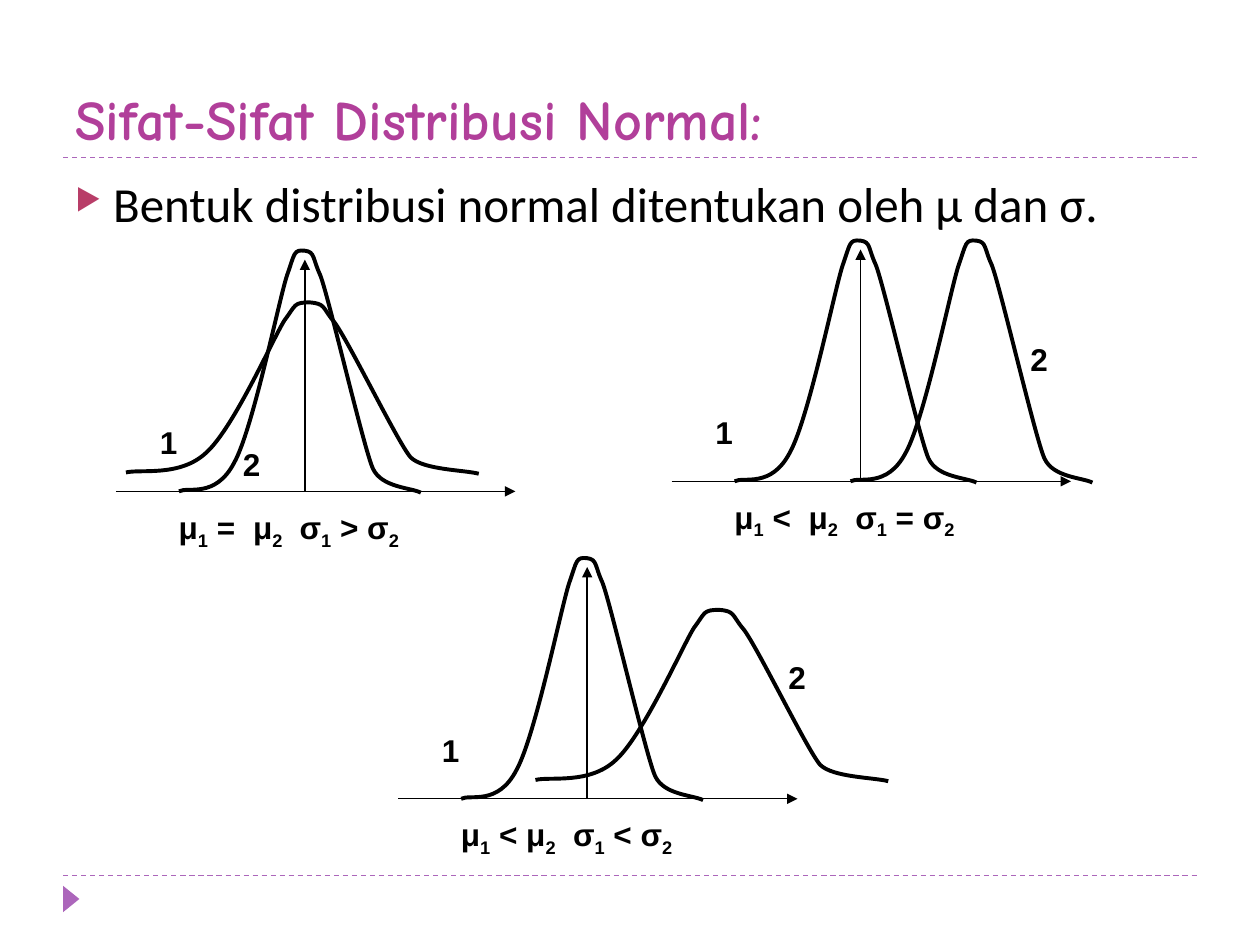
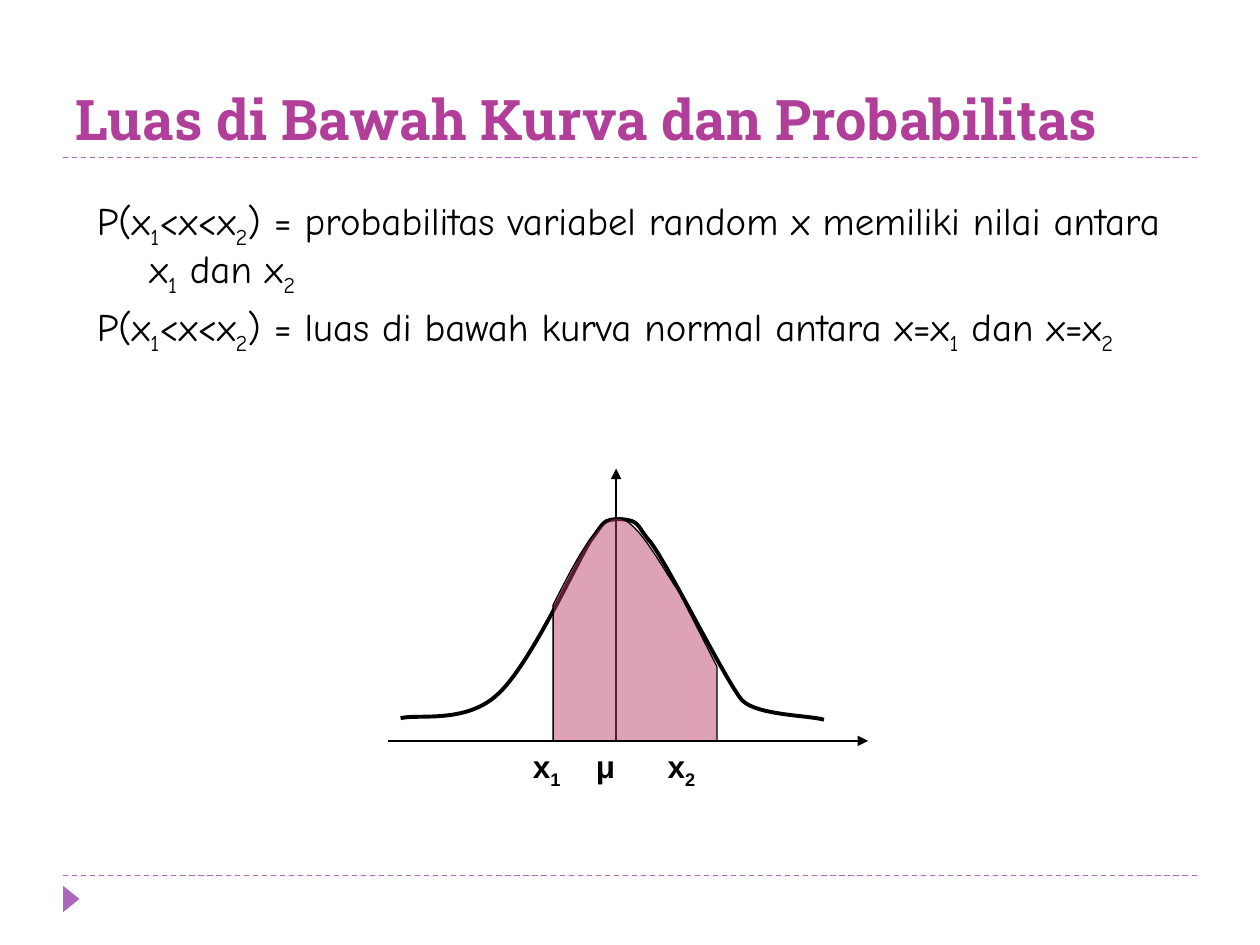
from dataclasses import dataclass

from lxml import etree
from pptx import Presentation
from pptx.dml.color import RGBColor
from pptx.enum.dml import MSO_LINE
from pptx.enum.shapes import MSO_CONNECTOR, MSO_SHAPE
from pptx.enum.text import MSO_ANCHOR
from pptx.oxml.ns import qn
from pptx.util import Inches, Pt

STRAIGHT = MSO_CONNECTOR.STRAIGHT
TRIANGLE = MSO_SHAPE.ISOSCELES_TRIANGLE
DASH = MSO_LINE.DASH
TOP, BOTTOM = MSO_ANCHOR.TOP, MSO_ANCHOR.BOTTOM

Point = tuple[float, float]
Box = tuple[float, float, float, float]


@dataclass(frozen=True)
class Theme:
    title: str = "B13F9A"
    rule: str = "AC66BB"
    accent: str = "B83D68"
    ink: str = "000000"
    label_font: str = "Arial"
    body_font: str = "Calibri"
    hand_font: str = "Comic Neue"
    slab_font: str = "Roboto Slab"
    title_size: float = 32
    body_size: float = 28
    definition_size: float = 22.2
    label_size: float = 18
    thin: float = 0.75
    thick: float = 2.25


THEME = Theme()


@dataclass(frozen=True)
class TextStyle:
    font: str
    size: float
    color: str = THEME.ink
    bold: bool = False
    before: float = 0
    line_spacing: float | None = None
    hanging: float = 0
    bullet: str = ""
    tabs: tuple[float, ...] = ()


@dataclass(frozen=True)
class Outline:
    """Cubic Bezier points from the start, then straight corners."""
    curve: tuple[Point, ...]
    corners: tuple[Point, ...] = ()


@dataclass(frozen=True)
class Placed:
    """A bell and the offset of its left end from the axis crossing."""
    bell: Outline
    dx: float
    dy: float = 0


@dataclass(frozen=True)
class Panel:
    """Two bells on one pair of axes."""
    crossing: Point
    bells: tuple[Placed, Placed]
    second_label: Point
    caption: str
    tabs: tuple[float, float]


NARROW = Outline((
    (0, 0), (0.07, -0.04), (0.29, 0.06), (0.44, -0.23),
    (0.59, -0.5), (0.8, -1.55), (0.86, -1.72),
    (0.92, -1.89), (0.91, -1.92), (1, -1.91),
    (1.08, -1.9), (1.06, -1.85), (1.12, -1.72),
    (1.18, -1.58), (1.47, -0.33), (1.54, -0.18),
    (1.61, -0.03), (1.84, -0.03), (1.92, 0.01),
))
WIDE = Outline((
    (0, 0), (0.11, -0.03), (0.43, 0.04), (0.64, -0.16),
    (0.86, -0.36), (1.18, -1.09), (1.26, -1.21),
    (1.35, -1.33), (1.33, -1.35), (1.46, -1.35),
    (1.58, -1.34), (1.56, -1.31), (1.64, -1.21),
    (1.73, -1.12), (2.16, -0.23), (2.26, -0.12),
    (2.36, -0.02), (2.69, -0.02), (2.8, 0.01),
))
AREA = Outline((
    (0, 0), (0, 0), (0, -0.54), (0, -1.08),
    (0.14, -1.35), (0.33, -1.75), (0.5, -1.77),
    (0.66, -1.78), (0.86, -1.38), (1, -1.18),
), ((1.3, -0.59), (1.3, 0), (0, 0)))

PANELS = (
    Panel((2.42, 3.9), (Placed(WIDE, -1.42, -0.15), Placed(NARROW, -1)),
          (-0.59, -0.42), "μ_1 =\tμ_2\tσ_1 > σ_2", (0.59, 0.96)),
    Panel((6.83, 3.82), (Placed(NARROW, -1), Placed(NARROW, -0.08)),
          (1.25, -1.17), "μ_1 <\tμ_2\tσ_1 = σ_2", (0.59, 0.96)),
    Panel((4.66, 6.34), (Placed(NARROW, -1), Placed(WIDE, -0.41, -0.15)),
          (1.5, -1.17), "μ_1 < μ_2\tσ_1 < σ_2", (0.89,)),
)


# Text
def add_marked_runs(para, text: str) -> None:
    """Write text in which "_" lowers the one character after it."""
    first, *rest = text.split("_")
    pieces = [(first, False)]
    for part in rest:
        pieces += [(part[0], True), (part[1:], False)]
    for piece, lowered in pieces:
        if piece:
            span = para.add_run()
            span.text = piece
            if lowered:
                span.font._element.set("baseline", "-25000")


def format_paragraph(para, style: TextStyle) -> None:
    para.space_before = Pt(style.before)
    if style.line_spacing:
        para.line_spacing = style.line_spacing
    properties = para._p.get_or_add_pPr()
    if style.hanging:
        properties.set("marL", str(Inches(style.hanging)))
        properties.set("indent", str(-Inches(style.hanging)))
    if style.bullet:
        color = etree.SubElement(properties, qn("a:buClr"))
        etree.SubElement(color, qn("a:srgbClr"), val=THEME.accent)
        etree.SubElement(properties, qn("a:buSzPct"), val="60000")
        etree.SubElement(properties, qn("a:buChar"), char=style.bullet)
    if style.tabs:
        stops = etree.SubElement(properties, qn("a:tabLst"))
        for stop in style.tabs:
            etree.SubElement(stops, qn("a:tab"), pos=str(Inches(stop)), algn="l")
    font = para.font
    font.name = style.font
    font.size = Pt(style.size)
    font.bold = style.bold
    font.color.rgb = RGBColor.from_string(style.color)


def add_text(page, area: Box, lines: list[str], style: TextStyle,
             anchor=TOP) -> None:
    frame = page.shapes.add_textbox(*map(Inches, area)).text_frame
    frame.word_wrap = True
    frame.vertical_anchor = anchor
    for index, line in enumerate(lines):
        para = frame.add_paragraph() if index else frame.paragraphs[0]
        add_marked_runs(para, line)
        format_paragraph(para, style)


def add_label(page, area: Box, text: str, tabs: tuple[float, ...] = ()) -> None:
    style = TextStyle(THEME.label_font, THEME.label_size, bold=True,
                      before=11.2, tabs=tabs)
    add_text(page, area, [text], style)


# Lines and outlines
def set_line(shape, color: str, width: float) -> None:
    shape.line.color.rgb = RGBColor.from_string(color)
    shape.line.width = Pt(width)


def add_line(page, start: Point, end: Point, color: str = THEME.ink):
    line = page.shapes.add_connector(STRAIGHT, *map(Inches, start + end))
    set_line(line, color, THEME.thin)
    etree.SubElement(line._element.spPr, qn("a:effectLst"))
    return line


def add_axes(page, crossing: Point, left: float, right: float,
             height: float) -> None:
    x, y = crossing
    for start, end in (((x - left, y), (x + right, y)),
                       (crossing, (x, y - height))):
        axis = add_line(page, start, end)
        etree.SubElement(axis.line._get_or_add_ln(), qn("a:tailEnd"),
                         type="triangle")


def bend(shape, curve_steps: int) -> None:
    """Turn each three of the first straight steps into one Bezier segment."""
    steps = list(shape._element.iter(qn("a:lnTo")))[:curve_steps]
    for first in range(0, curve_steps, 3):
        segment = etree.Element(qn("a:cubicBezTo"))
        steps[first].addprevious(segment)
        for step in steps[first:first + 3]:
            segment.append(step[0])
            step.getparent().remove(step)


def add_outline(page, origin: Point, outline: Outline, width: float,
                scale: Point = (1, 1)):
    points = [(Inches(origin[0] + x * scale[0]), Inches(origin[1] + y * scale[1]))
              for x, y in outline.curve + outline.corners]
    builder = page.shapes.build_freeform(*points[0])
    builder.add_line_segments(points[1:], close=bool(outline.corners))
    shape = builder.convert_to_shape()
    bend(shape, len(outline.curve) - 1)
    shape.shadow.inherit = False
    shape.fill.background()
    set_line(shape, THEME.ink, width)
    return shape


# Shared frame of the slides
def add_page(deck, title: str, title_font: str):
    page = deck.slides.add_slide(deck.slide_layouts[6])
    for y in (6.95, 1.25):
        add_line(page, (0.5, y), (9.5, y), THEME.rule).line.dash_style = DASH
    marker = page.shapes.add_shape(
        TRIANGLE, Inches(0.46), Inches(7.07), Inches(0.21), Inches(0.13))
    marker.rotation = 90
    marker.shadow.inherit = False
    marker.fill.solid()
    marker.fill.fore_color.rgb = RGBColor.from_string(THEME.rule)
    marker.line.fill.background()
    style = TextStyle(title_font, THEME.title_size, THEME.title, bold=True)
    add_text(page, (0.5, 0.17, 9, 1.08), [title], style, BOTTOM)
    return page


def add_panel(page, panel: Panel) -> None:
    x, y = panel.crossing
    add_axes(page, panel.crossing, 1.5, 1.67, 1.84)
    for placed in panel.bells:
        add_outline(page, (x + placed.dx, y + placed.dy), placed.bell,
                    THEME.thick)
    for number, (dx, dy) in (("1", (-1.25, -0.59)), ("2", panel.second_label)):
        add_label(page, (x + dx, y + dy, 0.67, 0.4), number)
    add_label(page, (x - 1.1, y + 0.08, 3, 0.44), panel.caption, panel.tabs)


# Slides
def build_properties(deck) -> None:
    page = add_page(deck, "Sifat-Sifat Distribusi Normal:", THEME.hand_font)
    style = TextStyle(THEME.body_font, THEME.body_size, before=6,
                      hanging=0.3, bullet="▶")
    add_text(page, (0.5, 1.33, 9, 5.4),
             ["Bentuk distribusi normal ditentukan oleh μ dan σ."], style)
    for panel in PANELS:
        add_panel(page, panel)


def build_area(deck) -> None:
    page = add_page(deck, "Luas di Bawah Kurva dan Probabilitas",
                    THEME.slab_font)
    style = TextStyle(THEME.hand_font, THEME.definition_size, before=6,
                      line_spacing=0.9, hanging=0.42)
    meanings = ("probabilitas variabel random x memiliki nilai antara x_1 dan x_2",
                "luas di bawah kurva normal antara x=x_1 dan x=x_2")
    add_text(page, (0.67, 1.52, 8.83, 1.83),
             [f"P(x_1<x<x_2) = {meaning}" for meaning in meanings], style)

    # Curve, axis labels and shaded area
    add_axes(page, (4.89, 5.88), 1.81, 2, 2.16)
    add_outline(page, (3.18, 5.7), WIDE, THEME.thick, scale=(1.2, 1.17))
    add_label(page, (4.13, 5.88, 2.45, 0.44), "x_1\tμ\tx_2", (0.5, 1.07))
    area = add_outline(page, (4.39, 5.88), AREA, THEME.thin)
    area.fill.solid()
    area.fill.fore_color.rgb = RGBColor.from_string(THEME.accent)
    color = area._element.spPr.find(qn("a:solidFill")).find(qn("a:srgbClr"))
    etree.SubElement(color, qn("a:alpha"), val="48000")


def main() -> None:
    deck = Presentation()
    deck.slide_width, deck.slide_height = Inches(10), Inches(7.5)
    build_properties(deck)
    build_area(deck)
    deck.save("out.pptx")


if __name__ == "__main__":
    main()
